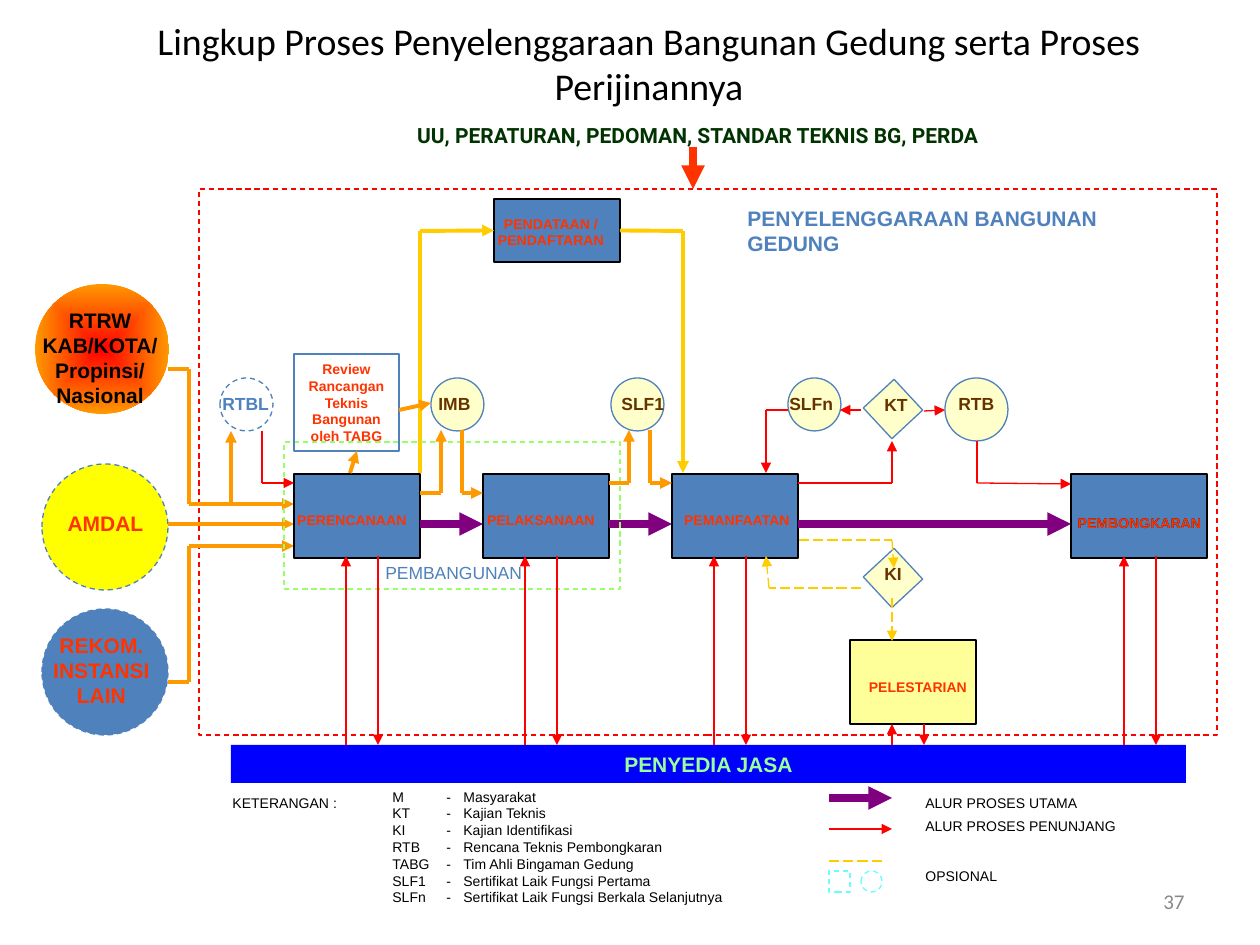
from dataclasses import dataclass
from itertools import pairwise

from lxml.etree import SubElement
from pptx import Presentation
from pptx.dml.color import RGBColor
from pptx.enum.dml import MSO_LINE
from pptx.enum.shapes import MSO_CONNECTOR, MSO_SHAPE
from pptx.enum.text import MSO_ANCHOR, MSO_AUTO_SIZE, PP_ALIGN
from pptx.oxml import parse_xml
from pptx.oxml.ns import nsdecls, qn
from pptx.slide import Slide
from pptx.util import Pt

EMU_PER_PX = 914400 / 126
COLORS = {
    "black": "000000", "blue": "4F81BD", "red": "FF0000", "vermilion": "FF3300",
    "orange": "FF9900", "gold": "FFCC00", "purple": "800080", "yellow": "FFFF00",
    "cream": "FFFFCC", "straw": "FFFF99", "brown": "663300", "forest": "003300",
    "royal": "0000FF", "mint": "99FF99", "lime": "99FF66", "cyan": "66FFFF",
    "grey": "898989",
}
CENTER, LEFT, RIGHT = PP_ALIGN.CENTER, PP_ALIGN.LEFT, PP_ALIGN.RIGHT


def px(length):
    return round(length * EMU_PER_PX)


def rgb(name):
    return RGBColor.from_string(COLORS[name])


def write(shape, text, size, color, bold=True, align=CENTER, font="Arial"):
    text_frame = shape.text_frame
    text_frame.text = text
    for paragraph in text_frame.paragraphs:
        paragraph.alignment = align
        for run in paragraph.runs:
            run.font.size, run.font.bold, run.font.name = Pt(size), bold, font
            run.font.color.rgb = rgb(color)


@dataclass
class Region:
    """Part of the slide whose contents are placed from its top left corner."""
    slide: Slide
    left: int
    top: int

    def shape(self, kind, x, y, width, height, fill=None, line=None, dash=None):
        shape = self.slide.shapes.add_shape(
            kind, px(self.left + x), px(self.top + y), px(width), px(height))
        shape.shadow.inherit = False
        if fill:
            shape.fill.solid()
            shape.fill.fore_color.rgb = rgb(fill)
        else:
            shape.fill.background()
        if line:
            shape.line.color.rgb = rgb(line)
            shape.line.width = Pt(0.75)
            shape.line.dash_style = dash
        else:
            shape.line.fill.background()
        return shape

    def label(self, text, x, y, width, height, size=8, color="vermilion", wrap=True, **style):
        box = self.slide.shapes.add_textbox(
            px(self.left + x), px(self.top + y), px(width), px(height))
        write(box, text, size, color, **style)
        box.text_frame.word_wrap = wrap
        return box

    def route(self, *points, color="red", width=0.75, dash=None, arrow=True):
        """Joins the points by straight lines, with an arrowhead on the last."""
        lines = []
        for (x1, y1), (x2, y2) in pairwise(points):
            line = self.slide.shapes.add_connector(
                MSO_CONNECTOR.STRAIGHT, px(self.left + x1), px(self.top + y1),
                px(self.left + x2), px(self.top + y2))
            line.line.color.rgb = rgb(color)
            line.line.width = Pt(width)
            line.line.dash_style = dash
            SubElement(line._element.spPr, qn("a:effectLst"))
            lines.append(line)
        if arrow:
            SubElement(lines[-1].line._get_or_add_ln(), qn("a:tailEnd"), type="triangle")
        return lines


def add_title(slide):
    title = slide.shapes.title
    title.left, title.top, title.width, title.height = map(px, (82, 21, 1134, 84))
    write(title, "Lingkup Proses Penyelenggaraan Bangunan Gedung serta Proses Perijinannya",
          21.6, "black", bold=False, font="Calibri")
    title.text_frame.auto_size = MSO_AUTO_SIZE.NONE
    title.text_frame.vertical_anchor = MSO_ANCHOR.MIDDLE


def add_frame(region):
    region.label("UU, PERATURAN, PEDOMAN, STANDAR TEKNIS BG, PERDA", 0, 0, 998, 38,
                 12, "forest", font="Roboto")
    region.route((494, 31), (494, 73), color="vermilion", width=4.5)
    region.shape(MSO_SHAPE.RECTANGLE, 0, 73, 1018, 546, line="red", dash=MSO_LINE.DASH)
    region.label("PENYELENGGARAAN BANGUNAN GEDUNG", 536, 83, 472, 38, 12, "blue", align=LEFT)


def add_inputs(region):
    spatial_plan = region.shape(MSO_SHAPE.OVAL, 7, 0, 134, 130, "red")
    stops = "".join(f'<a:gs pos="{position}"><a:srgbClr val="{COLORS[color]}"/></a:gs>'
                    for position, color in ((0, "red"), (100000, "orange")))
    gradient = parse_xml(
        f'<a:gradFill {nsdecls("a")}><a:gsLst>{stops}</a:gsLst><a:path path="shape">'
        '<a:fillToRect l="50000" t="50000" r="50000" b="50000"/></a:path></a:gradFill>')
    properties = spatial_plan._element.spPr
    properties.replace(properties.find(qn("a:solidFill")), gradient)
    for y, fill in ((180, "yellow"), (325, "blue")):
        region.shape(MSO_SHAPE.OVAL, 14, y, 126, 126, fill, "blue", MSO_LINE.DASH)
    region.label("RTRW\nKAB/KOTA/\nPropinsi/\nNasional", 1, 17, 142, 140, 12, "black", wrap=False)
    region.label("AMDAL", 25, 220, 105, 38, 12)
    region.label("REKOM.\nINSTANSI\nLAIN", 12, 342, 123, 88, 12, wrap=False)
    for points in (((140, 85), (161, 85), (161, 220), (266, 220)),
                   ((140, 240), (266, 240)),
                   ((140, 398), (161, 398), (161, 262), (266, 262)),
                   ((203, 220), (203, 147))):
        region.route(*points, color="orange", width=2.25)


def add_registration(region):
    box = region.shape(MSO_SHAPE.RECTANGLE, 74, 0, 126, 63, "blue", "black")
    region.label("PENDATAAN / PENDAFTARAN", 63, 10, 136, 47)
    entering = region.route((0, 274), (0, 32), (74, 32), color="gold", width=2.25)
    entering[-1].end_connect(box, 1)
    leaving = region.route((200, 32), (263, 32), (263, 274), color="gold", width=2.25)
    leaving[0].begin_connect(box, 3)


def add_stages(region):
    for x, width in ((0, 126), (189, 126), (378, 126), (777, 136)):
        region.shape(MSO_SHAPE.RECTANGLE, x, 0, width, 84, "blue", "black")
    for start, end in ((126, 189), (315, 378), (504, 777)):
        region.route((start, 50), (end, 50), color="purple", width=4.5)
    for name, x in (("PERENCANAAN", -10), ("PELAKSANAAN", 179), ("PEMANFAATAN", 375)):
        region.label(name, x, 31, 136, 29)
    for color in ("black", "vermilion"):
        region.label("PEMBONGKARAN", 767, 34, 157, 29, color=color)
    region.shape(MSO_SHAPE.RECTANGLE, -10, -32, 336, 147, line="lime", dash=MSO_LINE.DASH)
    region.label("PEMBANGUNAN", 79, 82, 163, 34, 10, "blue", wrap=False, bold=False, align=LEFT)


def add_diamond(region, text, x, y, label_width):
    diamond = region.shape(MSO_SHAPE.RECTANGLE, x, y, 42, 42, "cream", "blue")
    diamond.rotation = 317.1
    region.label(text, x, y, label_width, 34, 10, "brown", wrap=False, align=LEFT)


def add_permits(region):
    region.shape(MSO_SHAPE.OVAL, 0, 24, 53, 53, line="blue", dash=MSO_LINE.DASH)
    region.label("RTBL", -10, 33, 72, 34, 10, "blue", wrap=False, align=LEFT)
    for name, x, size, label_x, width in (("IMB", 211, 53, 206, 58), ("SLF1", 391, 53, 389, 68),
                                          ("SLFn", 568, 53, 557, 69), ("RTB", 725, 63, 726, 62)):
        region.shape(MSO_SHAPE.OVAL, x, 24, size, size, "cream", "blue")
        region.label(name, label_x, 33, width, 34, 10, "brown", wrap=False, align=LEFT)
    add_diamond(region, "KT", 652, 34, 52)
    review = region.shape(MSO_SHAPE.RECTANGLE, 74, 0, 105, 97, line="blue")
    write(review, "Review Rancangan Teknis Bangunan oleh TABG", 8, "vermilion")
    for points in (((179, 56), (211, 49)),
                   ((130, 119), (137, 97)),
                   ((200, 139), (221, 139), (221, 76)),
                   ((242, 76), (242, 139), (263, 139)),
                   ((389, 129), (409, 129), (409, 76)),
                   ((430, 76), (430, 129), (452, 129))):
        region.route(*points, color="orange", width=2.25)
    for points in (((42, 77), (42, 129), (74, 129)),
                   ((568, 56), (546, 56), (546, 119)),
                   ((641, 56), (620, 56)),
                   ((704, 57), (725, 56)),
                   ((578, 129), (672, 129), (672, 87)),
                   ((757, 87), (757, 129), (851, 130))):
        region.route(*points)


def add_conservation(region):
    add_diamond(region, "KI", 106, 21, 46)
    region.shape(MSO_SHAPE.RECTANGLE, 84, 104, 126, 84, "straw", "black")
    region.label("PELESTARIAN", 84, 136, 136, 29)
    for points in (((33, 4), (126, 4), (128, 32)),
                   ((126, 62), (126, 105)),
                   ((95, 52), (3, 52), (0, 20))):
        region.route(*points, color="gold", dash=MSO_LINE.LONG_DASH)


def add_provider(region):
    bar = region.shape(MSO_SHAPE.RECTANGLE, 0, 189, 955, 38, "royal")
    write(bar, "PENYEDIA JASA", 12, "mint")
    for x, top in ((115, 0), (294, 0), (483, 0), (661, 168), (893, 0)):
        region.route((x, 189), (x, top))
        region.route((x + 32, top), (x + 32, 189))


def add_legend(region):
    plain = {"color": "black", "bold": False, "align": LEFT}
    region.label("KETERANGAN :", 0, 5, 130, 29, wrap=False, **plain)
    terms = {
        "M": "Masyarakat", "KT": "Kajian Teknis", "KI": "Kajian Identifikasi",
        "RTB": "Rencana Teknis Pembongkaran", "TABG": "Tim Ahli Bingaman Gedung",
        "SLF1": "Sertifikat Laik Fungsi Pertama",
        "SLFn": "Sertifikat Laik Fungsi Berkala Selanjutnya",
    }
    rows = "\n".join(f"{term}\t-\t{meaning}" for term, meaning in terms.items())
    glossary = region.label(rows, 160, -1, 407, 131, **plain)
    for paragraph in glossary.text_frame.paragraphs:
        tabs = SubElement(paragraph._p.get_or_add_pPr(), qn("a:tabLst"))
        for position in (54, 71):
            SubElement(tabs, qn("a:tab"), pos=str(px(position)), algn="l")
    region.route((609, 15), (672, 15), color="purple", width=4.5)
    region.route((609, 46), (672, 46))
    region.route((609, 78), (662, 78), color="gold", dash=MSO_LINE.LONG_DASH, arrow=False)
    for kind, x in ((MSO_SHAPE.RECTANGLE, 609), (MSO_SHAPE.OVAL, 641)):
        region.shape(kind, x, 88, 21, 21, line="cyan", dash=MSO_LINE.DASH)
    flows = region.label("ALUR PROSES UTAMA\nALUR PROSES PENUNJANG\nOPSIONAL",
                         693, 5, 262, 106, **plain)
    for paragraph, space in zip(flows.text_frame.paragraphs[1:], (4, 19)):
        paragraph.space_before = Pt(space)


def main():
    presentation = Presentation()
    presentation.slide_width, presentation.slide_height = px(1260), px(945)
    slide = presentation.slides.add_slide(presentation.slide_layouts[5])
    add_title(slide)
    for add_region, left, top in ((add_frame, 199, 116), (add_inputs, 28, 284),
                                  (add_registration, 420, 199), (add_stages, 294, 474),
                                  (add_permits, 220, 354), (add_conservation, 766, 536),
                                  (add_provider, 231, 556), (add_legend, 220, 783)):
        add_region(Region(slide, left, top))
    number = Region(slide, 903, 876).label("37", 0, 0, 294, 50, 12, "grey", bold=False,
                                           align=RIGHT, font="Calibri")
    number.text_frame.vertical_anchor = MSO_ANCHOR.MIDDLE
    presentation.save("out.pptx")


if __name__ == "__main__":
    main()
